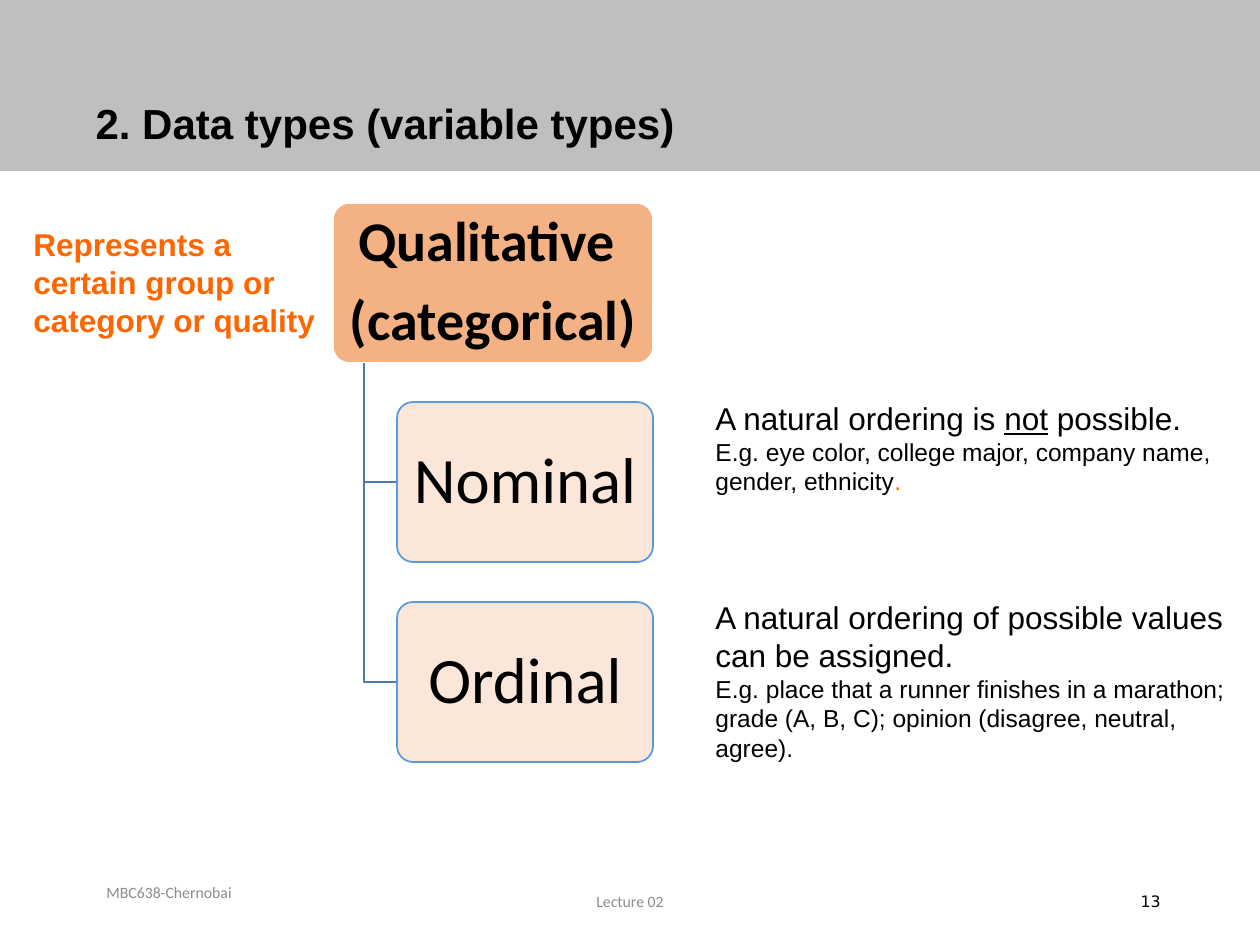
"""Builds the slide on qualitative data types: nominal and ordinal."""
from lxml.etree import SubElement
from pptx import Presentation
from pptx.dml.color import RGBColor
from pptx.enum.shapes import MSO_SHAPE as Shape
from pptx.enum.text import MSO_ANCHOR as Anchor, MSO_AUTO_SIZE as AutoSize, PP_ALIGN as Align
from pptx.oxml.ns import qn
from pptx.util import Pt

BLACK = RGBColor(0x00, 0x00, 0x00)
WHITE = RGBColor(0xFF, 0xFF, 0xFF)
GRAY = RGBColor(0x8C, 0x8C, 0x8C)
BAND = RGBColor(0xBF, 0xBF, 0xBF)
ORANGE = RGBColor(0xFF, 0x66, 0x00)
PEACH = RGBColor(0xF4, 0xB1, 0x83)
PALE_PEACH = RGBColor(0xFB, 0xE5, 0xD6)
BLUE = RGBColor(0x5B, 0x9B, 0xD5)
BRANCH_BLUE = RGBColor(0x49, 0x7C, 0xAB)

SLIDE_WIDTH, SLIDE_HEIGHT = 1260, 945
TITLE = "2. Data types (variable types)"
PARENT = ["Qualitative ", "(categorical)"]
CHILDREN = ["Nominal", "Ordinal"]

MEANING = [[("Represents a certain group or category or quality", 18, ORANGE, "bold")]]
NOMINAL_NOTE = [
    [("A natural ordering is ", 18, BLACK, ""), ("not", 18, BLACK, "underline"),
     (" possible.", 18, BLACK, "")],
    [("E.g. eye color, college major, company name, gender, ethnicity", 14, BLACK, ""),
     (".", 14, ORANGE, "")],
]
ORDINAL_NOTE = [
    [("A natural ordering of possible values can be assigned.", 18, BLACK, "")],
    [("E.g. place that a runner finishes in a marathon; grade (A, B, C); "
      "opinion (disagree, neutral, agree).", 14, BLACK, "")],
]
NOTES = [
    ((21, 219, 308, 127), MEANING),
    ((703, 393, 536, 111), NOMINAL_NOTE),
    ((703, 592, 536, 178), ORDINAL_NOTE),
]
FOOTERS = [
    ("MBC638-Chernobai", (94, 861, 262, 63), Align.LEFT, "Calibri", GRAY),
    ("Lecture 02", (417, 876, 426, 50), Align.CENTER, "Calibri", GRAY),
    ("13", (890, 876, 283, 50), Align.RIGHT, "DejaVu Sans", BLACK),
]

PARENT_BOX = (333, 203, 320, 160)
CHILD_LEFT, CHILD_WIDTH, CHILD_STEP = 397, 256, 200
TRUNK_X = 364


def px(value):
    return round(value * 914400 / 126)


def place(box):
    return [px(value) for value in box]


def style(font, size, color, name="Arial", bold=False):
    font.size, font.name, font.bold = Pt(size), name, bold
    font.color.rgb = color


def add_text(slide, box, anchor=Anchor.TOP):
    frame = slide.shapes.add_textbox(*place(box)).text_frame
    frame.word_wrap = True
    frame.vertical_anchor = anchor
    return frame


def add_note(slide, box, paragraphs):
    frame = add_text(slide, box)
    for index, spans in enumerate(paragraphs):
        para = frame.add_paragraph() if index else frame.paragraphs[0]
        for words, size, color, emphasis in spans:
            span = para.add_run()
            span.text = words
            style(span.font, size, color, bold=emphasis == "bold")
            if emphasis == "underline":
                span.font.underline = True


def add_node(slide, box, lines, size, fill, line, bold=False, inset=10):
    node = slide.shapes.add_shape(Shape.ROUNDED_RECTANGLE, *place(box))
    node.shadow.inherit = False
    node.adjustments[0] = 0.1
    node.fill.solid()
    node.fill.fore_color.rgb = fill
    node.line.color.rgb = line
    node.line.width = Pt(1)
    frame = node.text_frame
    frame.word_wrap = True
    frame.vertical_anchor = Anchor.MIDDLE
    frame.margin_left = frame.margin_right = px(inset)
    frame.margin_top = frame.margin_bottom = px(6)
    frame.text = "\n".join(lines)
    for para in frame.paragraphs:
        para.alignment = Align.CENTER
        para.line_spacing = 0.9
        para.space_after = Pt(round(size * 0.35))
        style(para.runs[0].font, size, BLACK, "Calibri", bold)
    return node


def add_branch(slide, top, bottom):
    builder = slide.shapes.build_freeform(px(TRUNK_X), px(top))
    builder.add_line_segments(
        [(px(TRUNK_X), px(bottom)), (px(CHILD_LEFT), px(bottom))], close=False)
    branch = builder.convert_to_shape()
    branch.shadow.inherit = False
    branch.fill.background()
    branch.line.color.rgb = BRANCH_BLUE
    branch.line.width = Pt(1)


def add_heading(slide):
    title = slide.shapes.title
    title.left, title.top, title.width, title.height = place((83, 34, 1086, 183))
    frame = title.text_frame
    frame.text = TITLE
    frame.auto_size = AutoSize.NONE
    frame.vertical_anchor = Anchor.MIDDLE
    para = frame.paragraphs[0]
    para.alignment = Align.LEFT
    para.line_spacing = 0.9
    style(para.runs[0].font, 24, BLACK, bold=True)

    band = slide.shapes.add_shape(Shape.RECTANGLE, *place((0, 0, SLIDE_WIDTH, 171)))
    band.shadow.inherit = False
    band.fill.solid()
    band.fill.fore_color.rgb = BAND
    band.line.fill.background()
    title.element.addprevious(band.element)


def add_tree(slide):
    add_node(slide, PARENT_BOX, PARENT, 32, PEACH, WHITE, bold=True, inset=9)
    top, height = PARENT_BOX[1], PARENT_BOX[3]
    for index, label in enumerate(CHILDREN, start=1):
        child_top = top + index * CHILD_STEP - 1
        add_branch(slide, top + height, child_top + height // 2)
        node = add_node(slide, (CHILD_LEFT, child_top, CHILD_WIDTH, height),
                        [label], 37, PALE_PEACH, BLUE)
        color = node.element.spPr.find(qn("a:solidFill"))[0]
        SubElement(color, qn("a:alpha")).set("val", "90000")


def main():
    deck = Presentation()
    deck.slide_width, deck.slide_height = px(SLIDE_WIDTH), px(SLIDE_HEIGHT)
    page = deck.slides.add_slide(deck.slide_layouts[5])
    add_heading(page)
    add_tree(page)
    for box, paragraphs in NOTES:
        add_note(page, box, paragraphs)
    for words, box, alignment, name, color in FOOTERS:
        para = add_text(page, box, Anchor.MIDDLE).paragraphs[0]
        para.text = words
        para.alignment = alignment
        style(para.runs[0].font, 9, color, name)
    deck.save("out.pptx")


if __name__ == "__main__":
    main()
